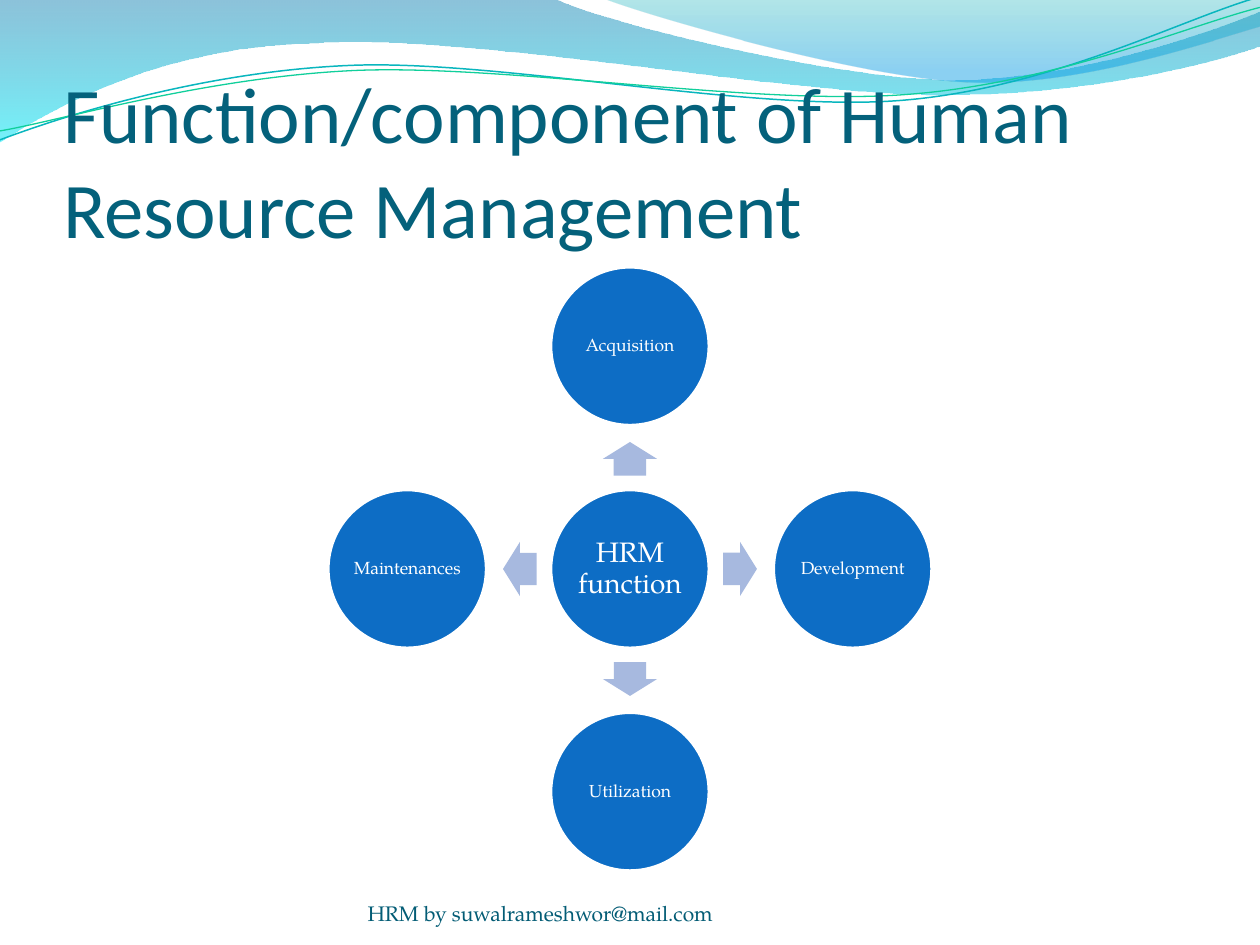
from math import cos, radians, sin

from pptx import Presentation
from pptx.dml.color import RGBColor
from pptx.enum.shapes import MSO_SHAPE
from pptx.enum.text import MSO_ANCHOR, MSO_AUTO_SIZE, PP_ALIGN
from pptx.oxml import parse_xml
from pptx.oxml.ns import nsdecls
from pptx.util import Cm, Pt

SERIF = "TeX Gyre Pagella"
CENTRE_X, CENTRE_Y = 12.7, 11.47
CIRCLE_SIZE = 3.2
CIRCLE_DISTANCE, ARROW_DISTANCE = 4.49, 2.22
ARROW_WIDTH, ARROW_HEIGHT = 0.68, 1.09

# Angle of each function around the hub, clockwise from the right
FUNCTIONS = {"Acquisition": 270, "Development": 0,
             "Utilization": 90, "Maintenances": 180}

# Wave outlines in cm: two numbers are a corner, six are a Bezier curve
BAND = [(0, 0), (11.18, -0.03),
        (12.09, 0.43, 16.87, 1.6, 19.25, 1.6),
        (21.67, 1.6, 24.33, 0.66, 25.4, 0.23), (25.43, 0.91),
        (24.97, 1.12, 22.1, 1.93, 18.95, 1.91),
        (15.8, 1.91, 9.7, 0.71, 6.53, 0.86),
        (3.28, 0.91, 1.17, 2.11, -0.03, 2.87)]
VEIL = [(12.17, -0.03), (12.93, 0.28, 17.32, 1.57, 19.53, 1.65),
        (21.74, 1.75, 24.41, 0.81, 25.4, 0.53), (25.4, 0)]
UPPER_LINE = [(0, 2.82), (1.22, 2.36, 4.01, 1.45, 7.04, 1.32),
              (10.03, 1.19, 15.06, 2.26, 18.11, 2.03),
              (21.16, 1.8, 23.83, 0.38, 25.35, -0.05)]
LOWER_LINE = [(0, 2.64), (1.19, 2.44, 4.17, 1.55, 7.19, 1.42),
              (10.24, 1.3, 15.16, 2.13, 18.21, 1.91),
              (21.23, 1.7, 23.9, 0.53, 25.4, 0.15)]


def colour(value):
    return RGBColor.from_string(value)


def set_values(target, values):
    for name, value in values.items():
        setattr(target, name, value)


def add_wave(page, outline, closed):
    points = [(Cm(segment[i]), Cm(segment[i + 1]))
              for segment in outline for i in range(0, len(segment), 2)]
    builder = page.shapes.build_freeform(*points[0])
    builder.add_line_segments(points[1:], close=closed)
    wave = builder.convert_to_shape()
    wave.shadow.inherit = False

    # Join the three lines of each Bezier segment into one curve
    lines = iter(list(wave.element.iter("{*}lnTo")))
    for segment in outline[1:]:
        first = next(lines)
        if len(segment) == 2:
            continue
        curve = parse_xml(f'<a:cubicBezTo {nsdecls("a")}/>')
        first.addprevious(curve)
        for line in (first, next(lines), next(lines)):
            curve.append(line[0])
            line.getparent().remove(line)
    return wave


def add_gradient_wave(page, outline, stops):
    """Stops are (position, colour, opacity), running top to bottom."""
    wave = add_wave(page, outline, True)
    wave.line.fill.background()
    wave.fill.background()
    stop_xml = "".join(
        f'<a:gs pos="{position * 1000}"><a:srgbClr val="{value}">'
        f'<a:alpha val="{opacity * 1000}"/></a:srgbClr></a:gs>'
        for position, value, opacity in stops)
    gradient = parse_xml(
        f'<a:gradFill {nsdecls("a")}><a:gsLst>{stop_xml}</a:gsLst>'
        '<a:lin ang="5400000" scaled="0"/></a:gradFill>')
    properties = wave.element.spPr
    properties.replace(properties.find("{*}noFill"), gradient)


def add_line_wave(page, outline, value, width):
    wave = add_wave(page, outline, False)
    wave.fill.background()
    wave.line.color.rgb = colour(value)
    wave.line.width = Pt(width)


def write_text(box, text, font, size, value, anchor, align, margin=0, spacing=None):
    frame = box.text_frame
    set_values(frame, {
        "word_wrap": True, "auto_size": MSO_AUTO_SIZE.NONE,
        "vertical_anchor": anchor,
        "margin_left": Cm(margin), "margin_right": Cm(margin),
        "margin_top": Cm(margin), "margin_bottom": Cm(margin)})
    para = frame.paragraphs[0]
    set_values(para, {"alignment": align, "line_spacing": spacing})
    span = para.add_run()
    span.text = text
    set_values(span.font, {"name": font, "size": Pt(size)})
    span.font.color.rgb = colour(value)


def add_centred_shape(page, kind, x, y, width, height, value):
    shape = page.shapes.add_shape(
        kind, Cm(x - width / 2), Cm(y - height / 2), Cm(width), Cm(height))
    shape.shadow.inherit = False
    shape.fill.solid()
    shape.fill.fore_color.rgb = colour(value)
    shape.line.fill.background()
    return shape


def add_circle(page, text, x, y, size, margin):
    circle = add_centred_shape(page, MSO_SHAPE.OVAL, x, y,
                               CIRCLE_SIZE, CIRCLE_SIZE, "0D6DC5")
    circle.line.color.rgb = colour("FFFFFF")
    circle.line.width = Pt(2)
    write_text(circle, text, SERIF, size, "FFFFFF", MSO_ANCHOR.MIDDLE,
               PP_ALIGN.CENTER, margin, 0.9)


def add_arrow(page, x, y, angle):
    arrow = add_centred_shape(page, MSO_SHAPE.RIGHT_ARROW, x, y,
                              ARROW_WIDTH, ARROW_HEIGHT, "A7B9DF")
    arrow.adjustments[0] = 0.6
    arrow.adjustments[1] = 0.5
    arrow.rotation = angle


def around_hub(angle, distance):
    return (CENTRE_X + distance * cos(radians(angle)),
            CENTRE_Y + distance * sin(radians(angle)))


def add_title(page, text):
    title = page.shapes.title
    set_values(title, {"left": Cm(1.27), "top": Cm(1.94),
                       "width": Cm(22.86), "height": Cm(3.18)})
    write_text(title, text, "Calibri", 45, "04617B",
               MSO_ANCHOR.BOTTOM, PP_ALIGN.LEFT)
    # Bring the title in front of the waves
    title.element.getparent().append(title.element)


def main():
    deck = Presentation()
    set_values(deck, {"slide_width": Cm(25.4), "slide_height": Cm(19.05)})
    page = deck.slides.add_slide(deck.slide_layouts[5])

    # Waves along the top
    add_gradient_wave(page, BAND, [(0, "0079AD", 45), (100, "00E9F7", 55)])
    add_gradient_wave(page, VEIL, [(0, "00ABB4", 30), (80, "0099E4", 45),
                                   (100, "0099E4", 45)])
    add_line_wave(page, UPPER_LINE, "09B6BE", 0.85)
    add_line_wave(page, LOWER_LINE, "10CF9B", 0.75)

    add_title(page, "Function/component of Human Resource Management")

    # Hub with its four functions
    add_circle(page, "HRM function", CENTRE_X, CENTRE_Y, 16, 0.05)
    for name, angle in FUNCTIONS.items():
        add_arrow(page, *around_hub(angle, ARROW_DISTANCE), angle)
        add_circle(page, name, *around_hub(angle, CIRCLE_DISTANCE), 10, 0.02)

    # Footer
    footer = page.shapes.add_textbox(Cm(7.41), Cm(17.65), Cm(9.32), Cm(1.02))
    write_text(footer, "HRM by suwalrameshwor@mail.com", SERIF, 12, "035C75",
               MSO_ANCHOR.BOTTOM, PP_ALIGN.LEFT)

    deck.save("out.pptx")


if __name__ == "__main__":
    main()
